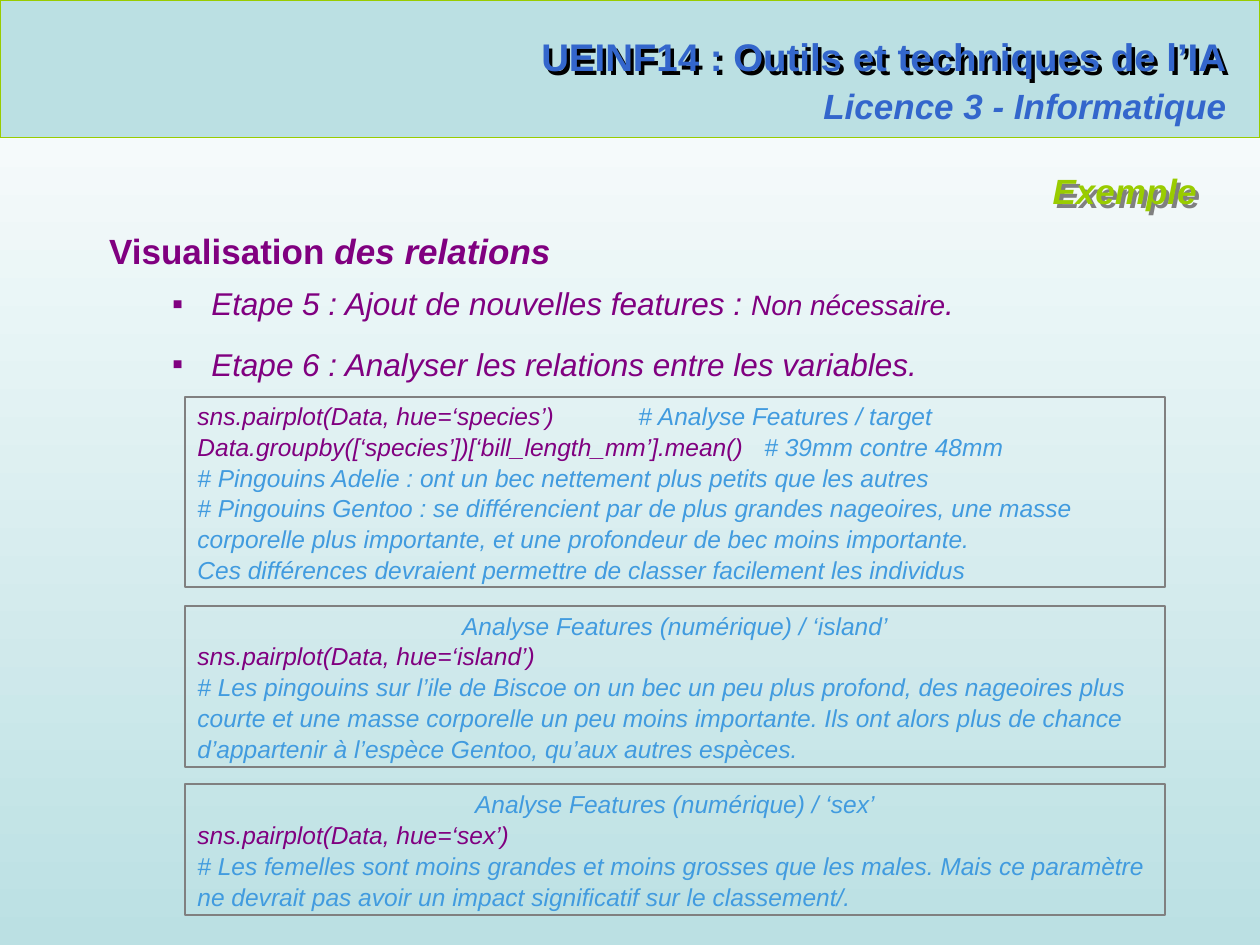
from collections import namedtuple
from dataclasses import dataclass

from lxml.etree import SubElement
from pptx import Presentation
from pptx.dml.color import RGBColor
from pptx.enum.shapes import MSO_CONNECTOR, MSO_SHAPE
from pptx.enum.text import MSO_ANCHOR, PP_ALIGN
from pptx.oxml.ns import qn
from pptx.util import Cm, Pt

Box = namedtuple("Box", "left top width height")


@dataclass(frozen=True)
class Theme:
    font: str = "Arial"
    band: str = "BBE0E3"
    white: str = "FFFFFF"
    green: str = "99CC00"
    blue: str = "3366CC"
    purple: str = "800080"
    comment: str = "419BDF"
    border: str = "808080"
    dark_shadow: str = "000000"
    soft_shadow: str = "808080"
    course_size: float = 22
    title_size: float = 20
    step_size: float = 18
    remark_size: float = 16
    code_size: float = 14
    line_spacing: float = 1.05


THEME = Theme()


def rgb(value):
    return RGBColor.from_string(value)


def place(shape, box):
    shape.left, shape.top, shape.width, shape.height = map(Cm, box)


def add_text(paragraph, text, *, size, color, bold=False, italic=False):
    run = paragraph.add_run()
    run.text = text
    font = run.font
    font.name, font.size = THEME.font, Pt(size)
    font.bold, font.italic = bold, italic
    font.color.rgb = rgb(color)


def next_paragraph(frame, align=PP_ALIGN.LEFT, after=0):
    """Return the empty first paragraph, or a new one after the others."""
    first = frame.paragraphs[0]
    paragraph = frame.add_paragraph() if first.runs else first
    paragraph.alignment = align
    paragraph.line_spacing = THEME.line_spacing
    paragraph.space_before, paragraph.space_after = Pt(0), Pt(after)
    return paragraph


def add_frame(slide, box, wrap=True):
    text_box = slide.shapes.add_textbox(*map(Cm, box))
    text_box.text_frame.word_wrap = wrap
    return text_box


def cast_shadow(shape, color):
    effects = SubElement(shape.element.spPr, qn("a:effectLst"))
    shadow = SubElement(effects, qn("a:outerShdw"), dist="35921", dir="2700000", algn="ctr")
    SubElement(shadow, qn("a:srgbClr"), val=color)


def add_bullet(paragraph, indent, hanging):
    properties = paragraph._p.get_or_add_pPr()
    properties.set("marL", str(Cm(indent)))
    properties.set("indent", str(-Cm(hanging)))
    SubElement(properties, qn("a:buFont"), typeface=THEME.font)
    SubElement(properties, qn("a:buChar"), char="▪")


def paint_background(slide):
    fill = slide.background.fill
    fill.gradient()
    fill.gradient_angle = 270
    for stop, color, position in zip(fill.gradient_stops, (THEME.white, THEME.band), (0, 1)):
        stop.color.rgb = rgb(color)
        stop.position = position


def add_header(slide, box):
    band = slide.shapes.add_shape(MSO_SHAPE.RECTANGLE, *map(Cm, box))
    band.shadow.inherit = False
    band.fill.solid()
    band.fill.fore_color.rgb = rgb(THEME.band)
    band.line.color.rgb = rgb(THEME.green)
    band.line.width = Pt(0.75)

    right = box.left + box.width - 0.42
    course = add_frame(slide, Box(right - 14.72, box.top + 0.5, 14.72, 1.19), wrap=False)
    add_text(next_paragraph(course.text_frame, PP_ALIGN.RIGHT),
             "UEINF14 : Outils et techniques de l’IA",
             size=THEME.course_size, color=THEME.blue, bold=True)
    cast_shadow(course, THEME.dark_shadow)

    degree = add_frame(slide, Box(right - 8.69, box.top + 1.53, 8.69, 1.11), wrap=False)
    add_text(next_paragraph(degree.text_frame, PP_ALIGN.RIGHT), "Licence 3 - Informatique",
             size=THEME.title_size, color=THEME.blue, bold=True, italic=True)

    bottom = box.top + box.height
    rule = slide.shapes.add_connector(
        MSO_CONNECTOR.STRAIGHT, Cm(box.left + 0.86), Cm(bottom),
        Cm(box.left + box.width - 0.61), Cm(bottom))
    rule.line.color.rgb = rgb(THEME.green)
    rule.line.width = Pt(0.75)
    SubElement(rule.element.spPr, qn("a:effectLst"))


def set_title(slide, box, text):
    title = slide.shapes.title
    place(title, box)
    frame = title.text_frame
    frame.word_wrap = True
    frame.vertical_anchor = MSO_ANCHOR.TOP
    add_text(next_paragraph(frame, PP_ALIGN.RIGHT), text,
             size=THEME.title_size, color=THEME.green, bold=True, italic=True)
    cast_shadow(title, THEME.soft_shadow)


def add_steps(slide, box):
    frame = add_frame(slide, box).text_frame
    heading = next_paragraph(frame, PP_ALIGN.JUSTIFY, after=6)
    for text, italic in (("Visualisation", False), (" des relations", True)):
        add_text(heading, text, size=THEME.title_size, color=THEME.purple,
                 bold=True, italic=italic)

    steps = [
        (12, [("Etape 5 : Ajout de nouvelles features : ", THEME.step_size),
              ("Non nécessaire", THEME.remark_size), (".", THEME.step_size)]),
        (6, [("Etape 6 : Analyser les relations entre les variables.", THEME.step_size)]),
    ]
    for after, parts in steps:
        step = next_paragraph(frame, PP_ALIGN.JUSTIFY, after)
        add_bullet(step, indent=2.06, hanging=0.79)
        for text, size in parts:
            add_text(step, text, size=size, color=THEME.purple, italic=True)


def add_code_panel(slide, box, lines, heading=None):
    """Frame lines given as (code, comment) pairs, under an optional centred heading."""
    panel = slide.shapes.add_shape(MSO_SHAPE.RECTANGLE, *map(Cm, box))
    panel.shadow.inherit = False
    panel.fill.background()
    panel.line.color.rgb = rgb(THEME.border)
    panel.line.width = Pt(1.25)
    frame = panel.text_frame
    frame.word_wrap = True
    frame.vertical_anchor = MSO_ANCHOR.MIDDLE

    if heading:
        add_text(next_paragraph(frame, PP_ALIGN.CENTER), heading,
                 size=THEME.code_size, color=THEME.comment, italic=True)
    for line in lines:
        paragraph = next_paragraph(frame)
        for text, color in zip(line, (THEME.purple, THEME.comment)):
            if text:
                add_text(paragraph, text, size=THEME.code_size, color=color, italic=True)


PANELS = [
    (8.0, 3.84, None, [
        ("sns.pairplot(Data, hue=‘species’)\t\t", "# Analyse Features / target"),
        ("Data.groupby([‘species’])[‘bill_length_mm’].mean()\t", "# 39mm contre 48mm"),
        ("", "# Pingouins Adelie : ont un bec nettement plus petits que les autres"),
        ("", "# Pingouins Gentoo : se différencient par de plus grandes nageoires, une masse "
             "corporelle plus importante, et une profondeur de bec moins importante."),
        ("", "Ces différences devraient permettre de classer facilement les individus"),
    ]),
    (12.21, 3.25, "Analyse Features (numérique) / ‘island’", [
        ("sns.pairplot(Data, hue=‘island’)", ""),
        ("", "# Les pingouins sur l’ile de Biscoe on un bec un peu plus profond, des nageoires "
             "plus courte et une masse corporelle un peu moins importante. Ils ont alors plus "
             "de chance d’appartenir à l’espèce Gentoo, qu’aux autres espèces."),
    ]),
    (15.8, 2.65, "Analyse Features (numérique) / ‘sex’", [
        ("sns.pairplot(Data, hue=‘sex’)", ""),
        ("", "# Les femelles sont moins grandes et moins grosses que les males. Mais ce "
             "paramètre ne devrait pas avoir un impact significatif sur le classement/."),
    ]),
]


def main():
    presentation = Presentation()
    presentation.slide_width, presentation.slide_height = Cm(25.4), Cm(19.05)
    slide = presentation.slides.add_slide(presentation.slide_layouts[5])
    paint_background(slide)
    add_header(slide, Box(0, 0, 25.4, 2.77))
    set_title(slide, Box(5.51, 3.25, 18.87, 1.11), "Exemple")
    add_steps(slide, Box(1.95, 4.47, 22.61, 4.27))
    for top, height, heading, lines in PANELS:
        add_code_panel(slide, Box(3.73, top, 19.76, height), lines, heading)
    presentation.save("out.pptx")


if __name__ == "__main__":
    main()
